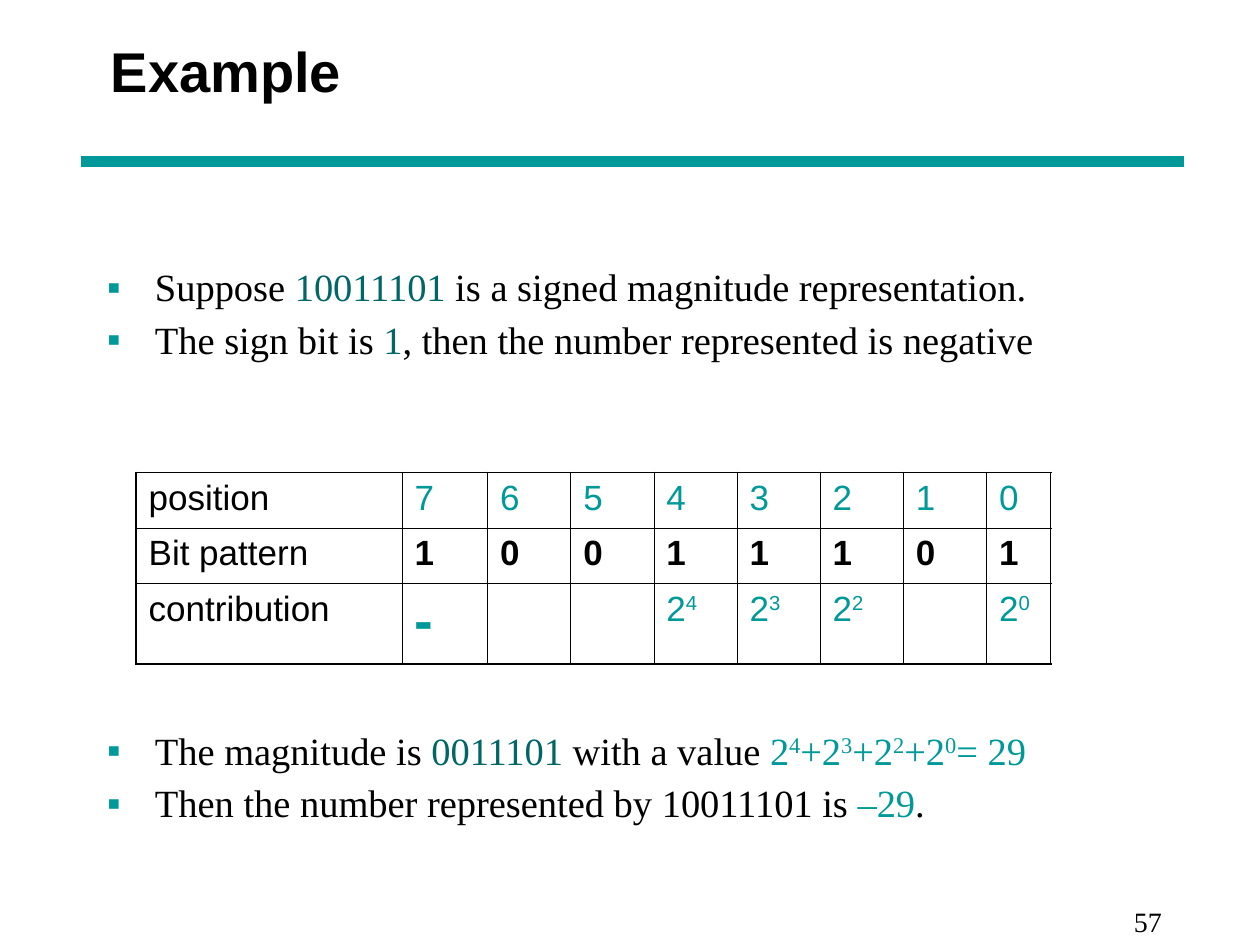
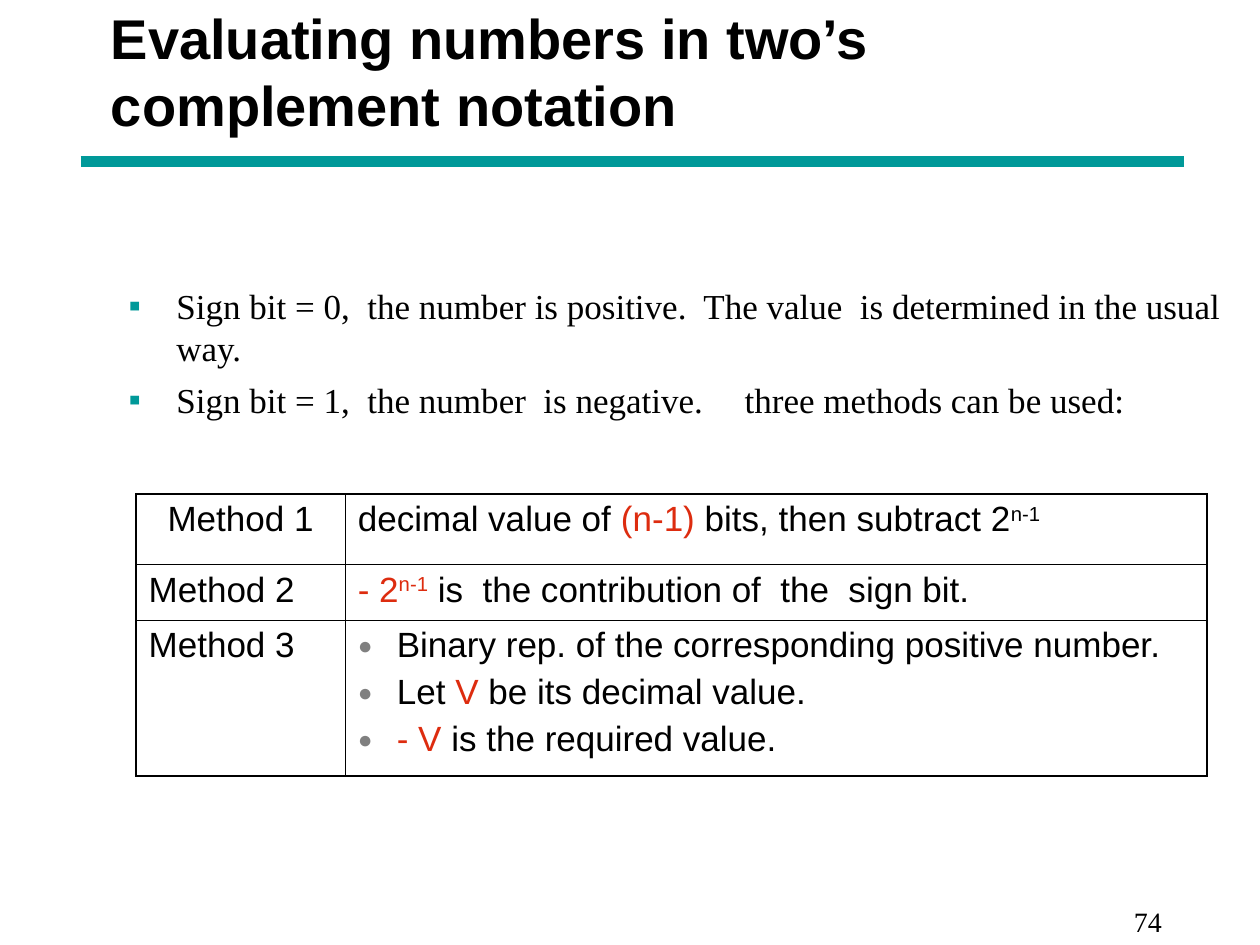
from lxml import etree
from pptx import Presentation
from pptx.dml.color import RGBColor
from pptx.enum.shapes import MSO_CONNECTOR
from pptx.enum.text import MSO_ANCHOR, MSO_AUTO_SIZE, PP_ALIGN
from pptx.oxml import parse_xml
from pptx.oxml.ns import nsdecls, qn
from pptx.util import Inches, Pt

BLACK = RGBColor(0x00, 0x00, 0x00)
TEAL = RGBColor(0x00, 0x99, 0x99)
DARK_TEAL = RGBColor(0x00, 0x66, 0x66)
RED = RGBColor(0xDD, 0x2C, 0x0F)
GREY = RGBColor(0x80, 0x80, 0x80)
SANS, SERIF = "Arial", "Times New Roman"
OUTER, INNER = 1.08, 0.45  # table border widths in points


# Content: a paragraph is a list of runs, a run is text or (text, style)
def power(base, exponent, color=BLACK):
    return [(base, {"color": color}), (exponent, {"color": color, "raised": True})]


def teal(text, **style):
    return [(text, {"color": TEAL, **style})]


def dark(text):
    return (text, {"color": DARK_TEAL})


def red(text):
    return (text, {"color": RED})


EXAMPLE = {
    "title": "Example",
    "page": "57",
    "body": {
        "at": (0.75, 2.08, 8.5, 4.5), "size": 22, "line": 0.9,
        # each point: space before, runs
        "points": [
            (0, ["Suppose ", dark("10011101"), " is a signed magnitude representation."]),
            (6.3, ["The sign bit is ", dark("1"), ", then the number represented is negative"]),
            (211, ["The magnitude is ", dark("0011101"), " with a value ",
                   *power("2", "4", TEAL), *power("+2", "3", TEAL),
                   *power("+2", "2", TEAL), *power("+2", "0", TEAL), *teal("= 29")]),
            (6.3, ["Then the number represented by 10011101 is ", *teal("–29"), "."]),
        ],
    },
    "table": {
        "at": (1.08, 3.75),
        "columns": [2.11, 0.68] + [0.66] * 6 + [0.51],
        "rows": [0.44, 0.44, 0.64],
        "cells": [
            [[["position"]]] + [[teal(digit)] for digit in "76543210"],
            [[["Bit pattern"]]] + [[[(bit, {"bold": True})]] for bit in "10011101"],
            [[["contribution"]], [teal("-", size=32, bold=True)], [], []]
            + [[power("2", exponent, TEAL)] for exponent in "432"]
            + [[], [power("2", "0", TEAL)]],
        ],
    },
}

TWOS_COMPLEMENT = {
    "title": "Evaluating numbers in two’s complement notation",
    "page": "74",
    "body": {
        "at": (0.92, 2.21, 8.88, 4.5), "size": 20, "line": 1.0, "tab": 4.89,
        "points": [
            (0, ["Sign bit = 0,  the number is positive.  The value  is determined in the usual way."]),
            (5.8, ["Sign bit = 1,  the number  is negative.\tthree methods can be used:"]),
        ],
    },
    "table": {
        "at": (1.08, 3.92),
        "columns": [1.66, 6.84],
        "rows": [0.56, 0.44, 1.24],
        "centred": (0, 0),
        "cells": [
            [[["Method 1"]],
             [["decimal value of ", red("(n-1)"), " bits, then subtract ", *power("2", "n-1")]]],
            [[["Method 2"]],
             [[*power("- 2", "n-1", RED), " is  the contribution of  the  sign bit."]]],
            [[["Method 3"]],
             [["Binary rep. of the corresponding positive number."],
              ["Let", red(" V"), " be its decimal value."],
              [red("- V"), " is the required value."]]],
        ],
    },
}


# Text helpers
def add_bullet(paragraph, char, color, indent, scale=100):
    properties = paragraph._p.get_or_add_pPr()
    properties.set("marL", str(Inches(indent)))
    properties.set("indent", str(-Inches(indent)))
    fill = etree.SubElement(properties, qn("a:buClr"))
    etree.SubElement(fill, qn("a:srgbClr"), val=str(color))
    etree.SubElement(properties, qn("a:buSzPct"), val=str(scale * 1000))
    etree.SubElement(properties, qn("a:buFont"), typeface=SANS)
    etree.SubElement(properties, qn("a:buChar"), char=char)


def add_tab(paragraph, position):
    stops = etree.SubElement(paragraph._p.get_or_add_pPr(), qn("a:tabLst"))
    etree.SubElement(stops, qn("a:tab"), pos=str(Inches(position)), algn="l")


def set_font(paragraph, name, size, bold=False):
    font = paragraph.font
    font.name, font.size, font.bold = name, Pt(size), bold
    font.color.rgb = BLACK


def add_runs(paragraph, runs):
    for item in runs:
        text, style = (item, {}) if isinstance(item, str) else item
        run = paragraph.add_run()
        run.text = text
        if "color" in style:
            run.font.color.rgb = style["color"]
        if "size" in style:
            run.font.size = Pt(style["size"])
        if "bold" in style:
            run.font.bold = style["bold"]
        if "raised" in style:
            run._r.get_or_add_rPr().set("baseline", "30000")


def paragraphs_for(frame, count):
    return [frame.paragraphs[0]] + [frame.add_paragraph() for _ in range(count - 1)]


def place(shape, left, top, width, height):
    shape.left, shape.top = Inches(left), Inches(top)
    shape.width, shape.height = Inches(width), Inches(height)


# Parts shared by the slides
def add_title(slide, text):
    title = slide.shapes.title
    place(title, 0.78, 0, 8.5, 1.12)
    frame = title.text_frame
    frame.text = text
    frame.auto_size = MSO_AUTO_SIZE.NONE
    frame.vertical_anchor = MSO_ANCHOR.MIDDLE
    frame.paragraphs[0].alignment = PP_ALIGN.LEFT
    set_font(frame.paragraphs[0], SANS, 32, bold=True)


def add_rule(slide):
    rule = slide.shapes.add_connector(
        MSO_CONNECTOR.STRAIGHT, Inches(0.64), Inches(1.28), Inches(9.4), Inches(1.28))
    rule.line.color.rgb = TEAL
    rule.line.width = Pt(6)
    etree.SubElement(rule._element.spPr, qn("a:effectLst"))


def add_page_number(slide, number):
    box = slide.shapes.add_textbox(Inches(7.9), Inches(7.13), Inches(2.1), Inches(0.37))
    frame = box.text_frame
    frame.word_wrap = True
    frame.margin_left = Inches(1.1)
    frame.text = number
    set_font(frame.paragraphs[0], SERIF, 16)


def add_body(slide, body):
    holder = slide.placeholders[1]
    place(holder, *body["at"])
    frame = holder.text_frame
    frame.auto_size = MSO_AUTO_SIZE.NONE
    points = body["points"]
    for paragraph, (space, runs) in zip(paragraphs_for(frame, len(points)), points):
        paragraph.line_spacing = body["line"]
        paragraph.space_before = Pt(space)
        add_bullet(paragraph, "▪", TEAL, 0.38)
        if "tab" in body:
            add_tab(paragraph, body["tab"])
        set_font(paragraph, SERIF, body["size"])
        add_runs(paragraph, runs)


def set_borders(cell, left, right, top, bottom):
    sides = (("L", left), ("R", right), ("T", top), ("B", bottom))
    for position, (side, at_edge) in enumerate(sides):
        width = Pt(OUTER if at_edge else INNER)
        border = parse_xml(
            f'<a:ln{side} {nsdecls("a")} w="{width}"><a:solidFill>'
            f'<a:srgbClr val="{BLACK}"/></a:solidFill></a:ln{side}>')
        cell._tc.get_or_add_tcPr().insert(position, border)


def add_grid(slide, content):
    columns, rows = content["columns"], content["rows"]
    left, top = content["at"]
    table = slide.shapes.add_table(
        len(rows), len(columns), Inches(left), Inches(top),
        Inches(sum(columns)), Inches(sum(rows))).table
    table.first_row = table.horz_banding = False
    for column, width in zip(table.columns, columns):
        column.width = Inches(width)
    for r, (height, row_cells) in enumerate(zip(rows, content["cells"])):
        table.rows[r].height = Inches(height)
        for c, lines in enumerate(row_cells):
            cell = table.cell(r, c)
            set_borders(cell, c == 0, c == len(columns) - 1, r == 0, r == len(rows) - 1)
            cell.fill.background()
            if not lines:
                continue
            for n, paragraph in enumerate(paragraphs_for(cell.text_frame, len(lines))):
                paragraph.space_before = Pt(4.5 if n else 0)
                if len(lines) > 1:
                    add_bullet(paragraph, "●", GREY, 0.31, 70)
                if content.get("centred") == (r, c):
                    paragraph.alignment = PP_ALIGN.CENTER
                set_font(paragraph, SANS, 20)
                add_runs(paragraph, lines[n])


def main():
    deck = Presentation()
    deck.slide_width, deck.slide_height = Inches(10), Inches(7.5)
    for content in (EXAMPLE, TWOS_COMPLEMENT):
        slide = deck.slides.add_slide(deck.slide_layouts[1])
        add_rule(slide)
        add_title(slide, content["title"])
        add_body(slide, content["body"])
        add_grid(slide, content["table"])
        add_page_number(slide, content["page"])
    deck.save("out.pptx")


if __name__ == "__main__":
    main()
